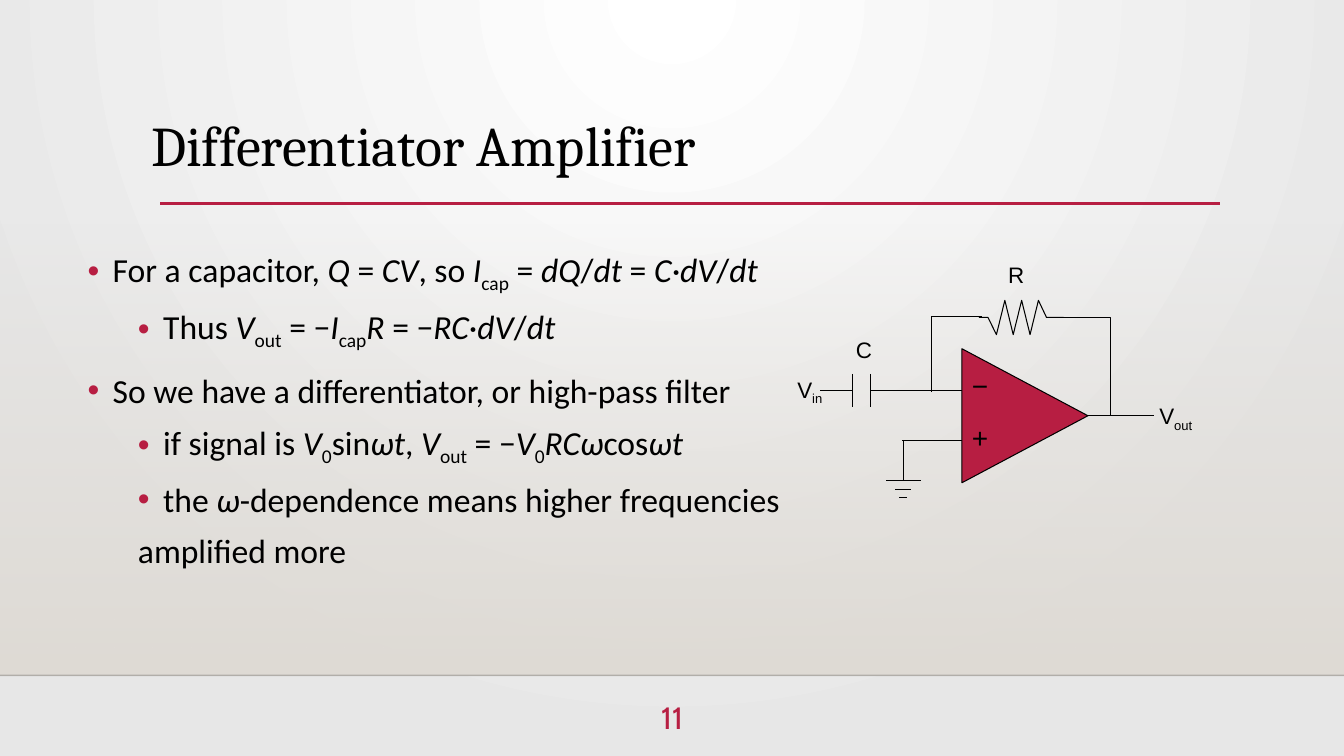
import pptx
import pptx.dml.color
import pptx.enum.shapes
import pptx.enum.text
import pptx.oxml
import pptx.oxml.ns
import pptx.util

Inches = pptx.util.Inches
Pt = pptx.util.Pt
qn = pptx.oxml.ns.qn
SHAPE = pptx.enum.shapes.MSO_SHAPE
ALIGN = pptx.enum.text.PP_ALIGN
ANCHOR = pptx.enum.text.MSO_ANCHOR
AUTO = pptx.enum.text.MSO_AUTO_SIZE
RED, BLACK, SAND = "B71E42", "000000", "DFDBD5"


def rgb(value):
    return pptx.dml.color.RGBColor.from_string(value)


def sub(parent, tag, **attrs):
    el = parent.makeelement(qn(tag), attrs)
    parent.append(el)
    return el


class Deck:
    def __init__(self):
        self.prs = pptx.Presentation()
        self.prs.slide_width = Inches(13.33)
        self.prs.slide_height = Inches(7.5)
        self.s = self.prs.slides.add_slide(self.prs.slide_layouts[5])

    def gradient(self, fill, first, last):
        fill.gradient()
        for stop, color, position in zip(fill.gradient_stops, (first, last), (0, 1)):
            stop.color.rgb = rgb(color)
            stop.position = position

    def background(self, center, edge):
        self.gradient(self.s.background.fill, center, edge)
        lin = self.s.element.find(".//" + qn("a:lin"))
        grad = lin.getparent()
        grad.remove(lin)
        radial = sub(grad, "a:path", path="circle")
        sub(radial, "a:fillToRect", l="43000", t="0", r="43000", b="100000")

    def fade(self, x, y, w, h, color):
        sp = self.s.shapes.add_shape(SHAPE.RECTANGLE, Inches(x), Inches(y), Inches(w), Inches(h))
        sp.shadow.inherit = False
        sp.line.fill.background()
        self.gradient(sp.fill, color, color)
        sp.fill.gradient_angle = 270
        sub(sp.element.find(".//" + qn("a:srgbClr")), "a:alpha", val="0")

    def outline(self, sp, color=BLACK, width=0.75):
        sp.line.color.rgb = rgb(color)
        sp.line.width = Pt(width)

    def line(self, x1, y1, x2, y2, color=BLACK, width=0.75, alpha=None):
        sp = self.s.shapes.add_connector(
            pptx.enum.shapes.MSO_CONNECTOR.STRAIGHT,
            Inches(x1), Inches(y1), Inches(x2), Inches(y2))
        self.outline(sp, color, width)
        if alpha is not None:
            sub(sp.element.find(".//" + qn("a:srgbClr")), "a:alpha", val=str(alpha * 1000))
        sub(sp.element.spPr, "a:effectLst")

    def wire(self, points):
        corners = [(Inches(x), Inches(y)) for x, y in points]
        builder = self.s.shapes.build_freeform(*corners[0])
        builder.add_line_segments(corners[1:], close=False)
        sp = builder.convert_to_shape()
        sp.shadow.inherit = False
        sp.fill.background()
        self.outline(sp)

    def triangle(self, x, y, w, h, color):
        sp = self.s.shapes.add_shape(
            SHAPE.ISOSCELES_TRIANGLE, Inches(x), Inches(y), Inches(w), Inches(h))
        sp.shadow.inherit = False
        sp.rotation = 90
        sp.fill.solid()
        sp.fill.fore_color.rgb = rgb(color)
        self.outline(sp)

    def runs(self, p, parts, size, font, color=BLACK):
        for text, style in parts:
            r = p.add_run()
            r.text = text
            r.font.size = Pt(size)
            r.font.name = font
            r.font.color.rgb = rgb(color)
            if style == "i":
                r.font.italic = True
            elif style == "sub":
                r.font._element.set("baseline", "-25000")

    def title(self, x, y, w, h, text):
        sp = self.s.shapes.title
        sp.left, sp.top, sp.width, sp.height = Inches(x), Inches(y), Inches(w), Inches(h)
        tf = sp.text_frame
        tf.auto_size = AUTO.NONE
        tf.vertical_anchor = ANCHOR.TOP
        p = tf.paragraphs[0]
        p.alignment = ALIGN.LEFT
        self.runs(p, [(text, "")], 40, "Cambria")

    def box(self, x, y, w, h, wrap=True):
        tf = self.s.shapes.add_textbox(Inches(x), Inches(y), Inches(w), Inches(h)).text_frame
        tf.word_wrap = wrap
        tf.auto_size = AUTO.NONE if wrap else AUTO.SHAPE_TO_FIT_TEXT
        return tf

    def label(self, x, y, w, h, parts, size=16):
        self.runs(self.box(x, y, w, h, wrap=False).paragraphs[0], parts, size, "Arial")

    def number(self, x, y, w, h, text):
        tf = self.box(x, y, w, h)
        p = tf.paragraphs[0]
        p.alignment = ALIGN.CENTER
        self.runs(p, [(text, "")], 22, "Cabin", RED)

    def body(self, x, y, w, h, items):
        tf = self.box(x, y, w, h)
        for n, (level, bullet, parts) in enumerate(items):
            p = tf.add_paragraph() if n else tf.paragraphs[0]
            p.level = level
            p.line_spacing = 1.1
            p.space_before = Pt((5 if level else 10) if n else 0)
            pPr = p._p.get_or_add_pPr()
            hang = 0.25 if bullet else 0
            pPr.set("marL", str(Inches(0.5 * level + hang)))
            pPr.set("indent", str(-Inches(hang)))
            if bullet:
                sub(sub(pPr, "a:buClr"), "a:srgbClr", val=RED)
                sub(pPr, "a:buFont", typeface="Arial")
                sub(pPr, "a:buChar", char="•")
            self.runs(p, parts, 24, "Calibri")


V_OUT = [("V", "i"), ("out", "sub")]
I_CAP = [("I", "i"), ("cap", "sub")]
V_0 = [("V", "i"), ("0", "sub")]
DV_DT = [("dV", "i"), ("/", ""), ("dt", "i")]
POINTS = [
    (0, True, [("For a capacitor, ", ""), ("Q", "i"), (" = ", ""), ("CV", "i"), (", so ", ""),
               *I_CAP, (" = ", ""), ("dQ", "i"), ("/", ""), ("dt", "i"), (" = ", ""),
               ("C·", "i"), *DV_DT]),
    (1, True, [("Thus ", ""), *V_OUT, (" = −", ""), *I_CAP, ("R", "i"), (" = −", ""),
               ("RC", "i"), ("·", ""), *DV_DT]),
    (0, True, [("So we have a differentiator, or high-pass filter", "")]),
    (1, True, [("if signal is ", ""), *V_0, ("sin", ""), ("ωt", "i"), (", ", ""), *V_OUT,
               (" = −", ""), *V_0, ("RCω", "i"), ("cos", ""), ("ωt", "i")]),
    (1, True, [("the ", ""), ("ω", "i"), ("-dependence means higher frequencies", "")]),
    (1, False, [("amplified more", "")]),
]


def draw_amplifier(deck):
    deck.triangle(9.5, 3.5, 1.33, 1.25, RED)
    for y, sign in ((3.61, "−"), (4.12, "+")):
        deck.label(9.54, y, 0.35, 0.43, [(sign, "")], 20)
    for y in (3.87, 4.37):
        deck.line(8.95, y, 9.54, y)
    deck.line(10.79, 4.12, 11.45, 4.12)


def draw_feedback(deck):
    zigzag = [(9.8 + i / 12, 3.32 if i % 2 else 2.98) for i in range(1, 7)]
    deck.wire([(9.71, 3.15), (9.8, 3.15), *zigzag, (10.38, 3.15), (10.55, 3.15)])
    deck.wire([(9.24, 3.89), (9.24, 3.14), (9.74, 3.14)])
    deck.wire([(10.51, 3.15), (11.01, 3.15), (11.01, 4.12)])


def draw_ground(deck):
    x = 8.96
    deck.line(x, 4.37, x, 4.77)
    for i, half in enumerate((0.17, 0.08, 0.04)):
        y = 4.77 + i / 12
        deck.line(x - half, y, x + half, y)


def draw_capacitor(deck):
    for plate, lead in ((8.46, 8.13), (8.63, 8.96)):
        deck.line(plate, 3.71, plate, 4.04)
        deck.line(plate, 3.87, lead, 3.87)


def main():
    deck = Deck()
    deck.background("FFFFFF", "E7E7E7")
    deck.fade(0, 2.21, 13.33, 4.49, SAND)
    deck.line(0, 6.7, 13.33, 6.7, "000001", 1, alpha=20)
    deck.line(1.59, 2.02, 12.1, 2.02, RED, 2.5)
    deck.title(1.4, 1.05, 11.77, 0.77, "Differentiator Amplifier")
    deck.body(0.77, 2.37, 8.5, 3.33, POINTS)
    for draw in (draw_amplifier, draw_feedback, draw_ground, draw_capacitor):
        draw(deck)
    deck.label(7.81, 3.68, 0.47, 0.37, [("V", ""), ("in", "sub")])
    deck.label(11.4, 3.94, 0.56, 0.37, [("V", ""), ("out", "sub")])
    deck.label(8.39, 3.29, 0.36, 0.37, [("C", "")])
    deck.label(9.9, 2.54, 0.36, 0.37, [("R", "")])
    deck.number(6.22, 6.88, 0.89, 0.55, "11")
    deck.prs.save("out.pptx")


if __name__ == "__main__":
    main()
